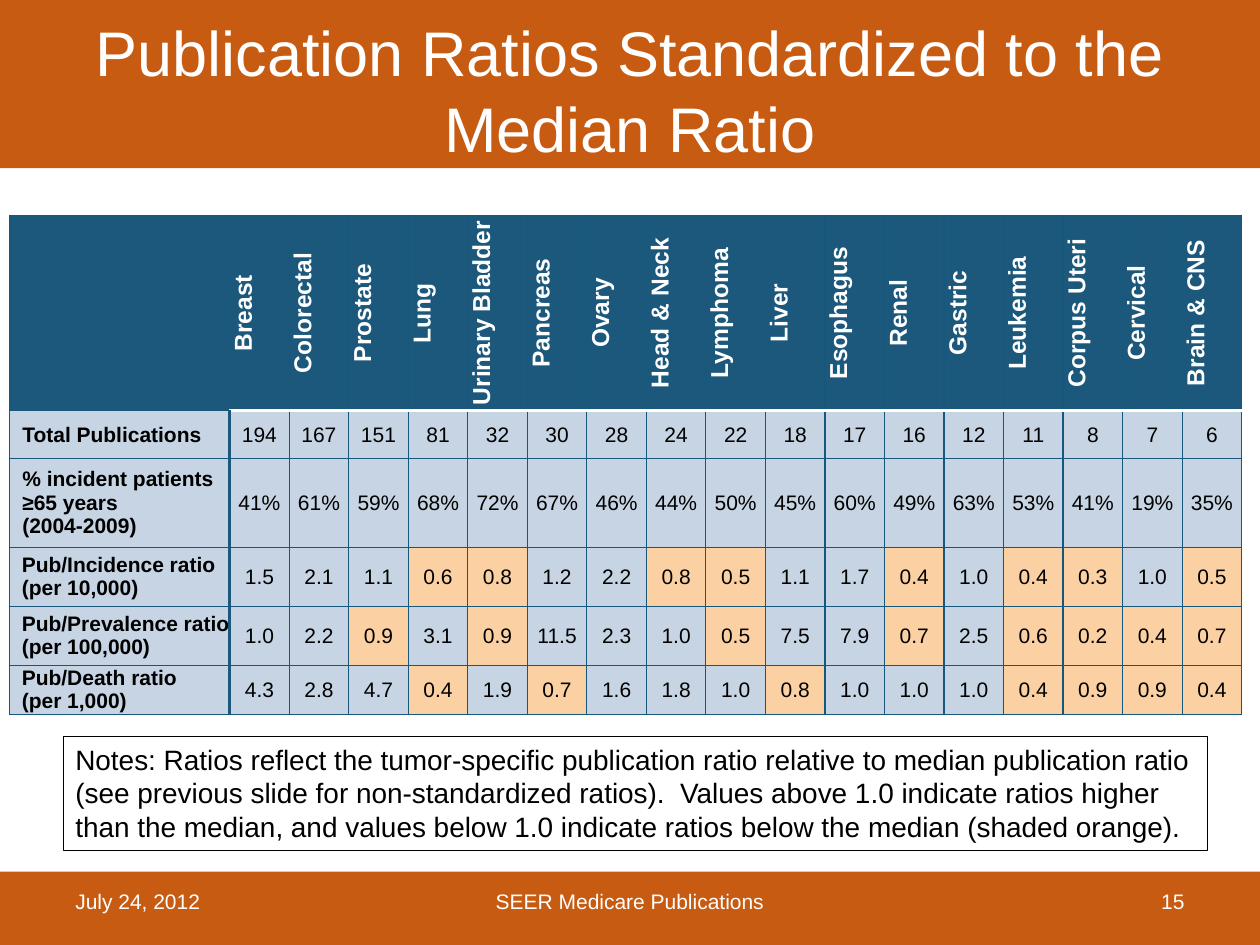
import pptx
import pptx.dml.color
import pptx.enum.shapes
import pptx.enum.text
import pptx.oxml
import pptx.util
from lxml import etree

Cm = pptx.util.Cm
Pt = pptx.util.Pt
Align = pptx.enum.text.PP_ALIGN
Anchor = pptx.enum.text.MSO_ANCHOR

ORANGE, WHITE, BLACK = "C75B12", "FFFFFF", "000000"
NAVY, GRID, PALE_BLUE, PALE_ORANGE = "1B587C", "18577C", "C6D4E3", "FBD1A4"
THIN, THICK = (GRID, 0.75), (NAVY, 2)
HEADER_RULE = (WHITE, 2)

CANCERS = ["Breast", "Colorectal", "Prostate", "Lung", "Urinary Bladder", "Pancreas",
           "Ovary", "Head & Neck", "Lymphoma", "Liver", "Esophagus", "Renal", "Gastric",
           "Leukemia", "Corpus Uteri", "Cervical", "Brain & CNS"]
ROWS = [
    ("Total Publications", "194 167 151 81 32 30 28 24 22 18 17 16 12 11 8 7 6"),
    ("% incident patients ≥65 years \n(2004-2009)",
     "41% 61% 59% 68% 72% 67% 46% 44% 50% 45% 60% 49% 63% 53% 41% 19% 35%"),
    ("Pub/Incidence ratio \n(per 10,000)",
     "1.5 2.1 1.1 0.6 0.8 1.2 2.2 0.8 0.5 1.1 1.7 0.4 1.0 0.4 0.3 1.0 0.5"),
    ("Pub/Prevalence ratio (per 100,000)",
     "1.0 2.2 0.9 3.1 0.9 11.5 2.3 1.0 0.5 7.5 7.9 0.7 2.5 0.6 0.2 0.4 0.7"),
    ("Pub/Death ratio \n(per 1,000)",
     "4.3 2.8 4.7 0.4 1.9 0.7 1.6 1.8 1.0 0.8 1.0 1.0 1.0 0.4 0.9 0.9 0.4"),
]
FIRST_RATIO_ROW = 3
ROW_HEIGHTS = [3.94, 0.97, 1.78, 1.19, 1.19, 0.99]
LABEL_WIDTH, VALUE_WIDTH = 4.43, 1.2
NOTES = ("Notes: Ratios reflect the tumor-specific publication ratio relative to median "
         "publication ratio (see previous slide for non-standardized ratios).  Values above "
         "1.0 indicate ratios higher than the median, and values below 1.0 indicate ratios "
         "below the median (shaded orange).")


def rgb(value):
    return pptx.dml.color.RGBColor.from_string(value)


def write_text(frame, text, size=12, color=BLACK, bold=False, align=Align.LEFT):
    paragraph = frame.paragraphs[0]
    paragraph.text = text
    paragraph.alignment = align
    for run in paragraph.runs:
        font = run.font
        font.name, font.size, font.bold = "Arial", Pt(size), bold
        font.color.rgb = rgb(color)


def set_borders(cell, **sides):
    """Draw the cell edges given as L, R, T, B, each a (colour, points) pair."""
    properties = cell._tc.get_or_add_tcPr()
    for side in "LRTB":
        color, width = sides.get(side, THIN)
        line = etree.SubElement(properties, pptx.oxml.ns.qn(f"a:ln{side}"), w=str(Pt(width)))
        fill = etree.SubElement(line, pptx.oxml.ns.qn("a:solidFill"))
        etree.SubElement(fill, pptx.oxml.ns.qn("a:srgbClr"), val=color)


class SlideBuilder:
    def __init__(self, presentation):
        self.slide = presentation.slides.add_slide(presentation.slide_layouts[5])

    def rectangle(self, left, top, width, height, fill=None, line=None):
        shape = self.slide.shapes.add_shape(
            pptx.enum.shapes.MSO_SHAPE.RECTANGLE, Cm(left), Cm(top), Cm(width), Cm(height))
        shape.shadow.inherit = False
        if fill:
            shape.fill.solid()
            shape.fill.fore_color.rgb = rgb(fill)
        else:
            shape.fill.background()
        if line:
            shape.line.color.rgb = rgb(line)
            shape.line.width = Pt(0.25)
        else:
            shape.line.fill.background()
        return shape

    def title(self, text, left, top, width, height):
        title = self.slide.shapes.title
        title.left, title.top, title.width, title.height = map(Cm, (left, top, width, height))
        title.text_frame.word_wrap = True
        title.text_frame.vertical_anchor = Anchor.MIDDLE
        write_text(title.text_frame, text, size=36, color=WHITE, align=Align.CENTER)
        # Bring the title in front of the colour bands.
        title.element.getparent().append(title.element)

    def note(self, text, *box):
        frame = self.rectangle(*box, line=BLACK).text_frame
        frame.word_wrap = True
        frame.vertical_anchor = Anchor.TOP
        write_text(frame, text, size=16)

    def footer(self, text, left, width, align):
        box = self.slide.shapes.add_textbox(Cm(left), Cm(17.65), Cm(width), Cm(1.02))
        box.text_frame.word_wrap = True
        box.text_frame.vertical_anchor = Anchor.MIDDLE
        write_text(box.text_frame, text, color=WHITE, align=align)

    def cell(self, cell, text, fill, borders, margins=(0, 0, 0, 0), **text_format):
        set_borders(cell, **borders)
        cell.fill.solid()
        cell.fill.fore_color.rgb = rgb(fill)
        cell.vertical_anchor = Anchor.MIDDLE
        (cell.margin_left, cell.margin_top,
         cell.margin_right, cell.margin_bottom) = map(Cm, margins)
        write_text(cell.text_frame, text, **text_format)

    def ratio_table(self, left, top):
        width = LABEL_WIDTH + VALUE_WIDTH * len(CANCERS)
        table = self.slide.shapes.add_table(
            len(ROWS) + 1, len(CANCERS) + 1,
            Cm(left), Cm(top), Cm(width), Cm(sum(ROW_HEIGHTS))).table
        table.first_row = table.horz_banding = False
        for row, height in zip(table.rows, ROW_HEIGHTS):
            row.height = Cm(height)
        for index, column in enumerate(table.columns):
            column.width = Cm(VALUE_WIDTH if index else LABEL_WIDTH)

        for column, cancer in enumerate(["", *CANCERS]):
            cell = table.cell(0, column)
            self.cell(cell, cancer, NAVY, {"B": HEADER_RULE if column else THIN},
                      size=14, color=WHITE, bold=True, align=Align.CENTER)
            if column:
                cell._tc.get_or_add_tcPr().set("vert", "vert270")

        for row, (label, values) in enumerate(ROWS, start=1):
            is_ratio = row >= FIRST_RATIO_ROW
            margins = (0.24, 0, 0, 0) if is_ratio else (0.25, 0.13, 0.25, 0.13)
            self.cell(table.cell(row, 0), label, PALE_BLUE, {"R": THICK}, margins, bold=True)
            for column, value in enumerate(values.split(), start=1):
                below_median = is_ratio and float(value) < 1
                borders = {"T": HEADER_RULE if row == 1 else THIN,
                           "L": THICK if column == 1 else THIN}
                self.cell(table.cell(row, column), value,
                          PALE_ORANGE if below_median else PALE_BLUE,
                          borders, align=Align.CENTER)


def main():
    presentation = pptx.Presentation()
    presentation.slide_width, presentation.slide_height = Cm(25.4), Cm(19.05)
    builder = SlideBuilder(presentation)
    builder.rectangle(0, 17.57, 25.4, 1.48, fill=ORANGE)
    builder.rectangle(0, 0, 25.4, 3.39, fill=ORANGE)
    builder.title("Publication Ratios Standardized to the Median Ratio", 1.27, 0.43, 22.86, 2.75)
    builder.note(NOTES, 1.27, 14.84, 23.07, 2.31)
    builder.ratio_table(0.2, 4.34)
    builder.footer("July 24, 2012", 1.27, 5.93, Align.LEFT)
    builder.footer("15", 18.2, 5.93, Align.RIGHT)
    builder.footer("SEER Medicare Publications", 8.68, 8.04, Align.CENTER)
    presentation.save("out.pptx")


if __name__ == "__main__":
    main()
